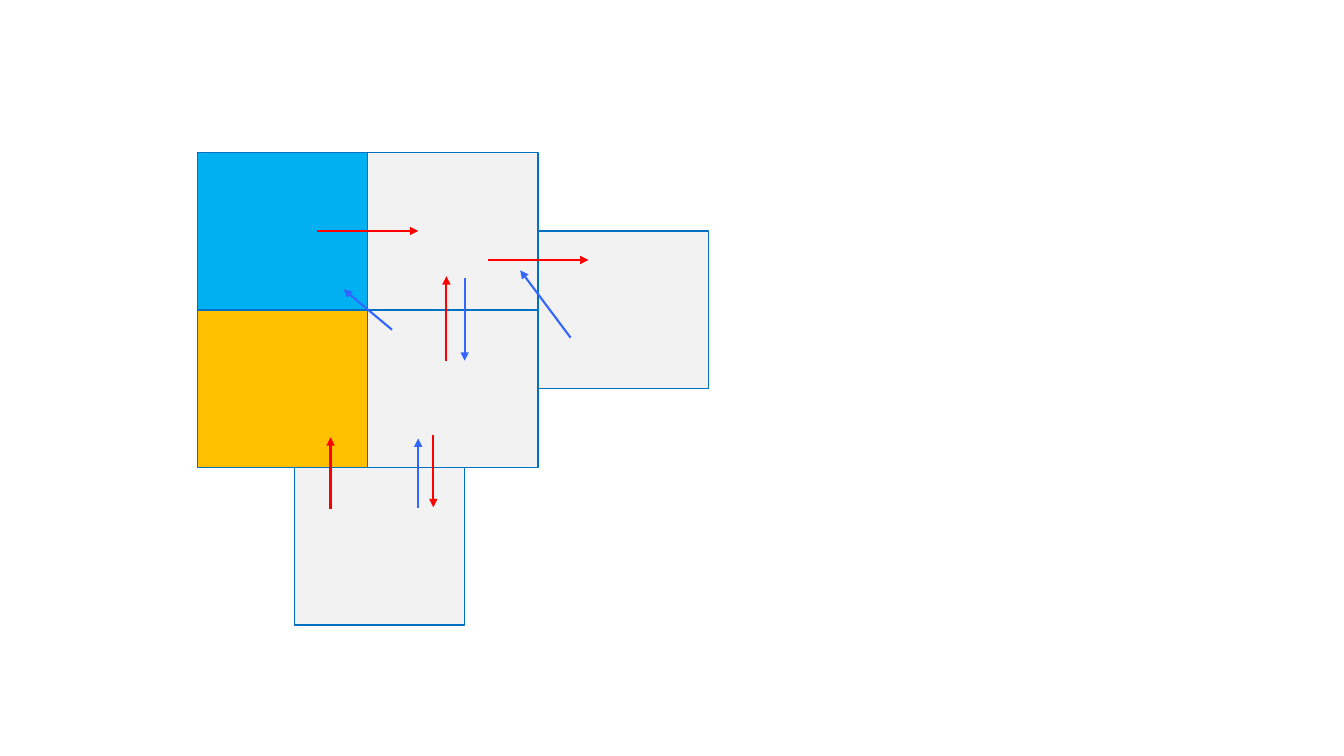
from pptx import Presentation
from pptx.dml.color import RGBColor as RGB
from pptx.enum.shapes import MSO_CONNECTOR as LINK, MSO_SHAPE as SHAPE
from pptx.oxml.ns import qn
from pptx.util import Cm, Pt
from lxml.etree import SubElement as sub

SKY = RGB(0x00, 0xB0, 0xF0)
GOLD = RGB(0xFF, 0xC0, 0x00)
GREY = RGB(0xF2, 0xF2, 0xF2)
EDGE = RGB(0x00, 0x70, 0xC0)
RED = RGB(0xFF, 0x00, 0x00)
BLUE = RGB(0x33, 0x66, 0xFF)

# Grid of equal rooms, in cm
LEFT, TOP = 4.98, 3.84
WIDTH, HEIGHT = 4.29, 3.97

# Rooms: column, row, fill
ROOMS = [
    (0, 0, SKY),
    (1, 0, GREY),
    (1, 1, GREY),
    (2, 0.5, GREY),
    (0, 1, GOLD),
    (0.57, 2, GREY),
]

# Arrows: start x, y, end x, y in cm
MOVES = {
    RED: [
        (8, 5.82, 10.54, 5.82),
        (12.29, 6.55, 14.83, 6.55),
        (11.25, 9.09, 11.25, 6.96),
        (10.92, 10.95, 10.92, 12.78),
        (8.33, 12.83, 8.33, 11.02),
    ],
    BLUE: [
        (14.38, 8.51, 13.11, 6.81),
        (11.71, 7.01, 11.71, 9.09),
        (9.88, 8.31, 8.66, 7.29),
        (10.54, 12.8, 10.54, 11.05),
    ],
}


def add_room(slide, col, row, fill):
    room = slide.shapes.add_shape(
        SHAPE.RECTANGLE, Cm(LEFT + col * WIDTH), Cm(TOP + row * HEIGHT),
        Cm(WIDTH), Cm(HEIGHT))
    room.shadow.inherit = False
    room.fill.solid()
    room.fill.fore_color.rgb = fill
    room.line.color.rgb = EDGE
    room.line.width = Pt(1)


def add_arrow(slide, ends, color):
    arrow = slide.shapes.add_connector(LINK.STRAIGHT, *map(Cm, ends))
    arrow.line.color.rgb = color
    arrow.line.width = Pt(1.5)
    # Arrowhead, and no shadow
    sub(arrow.line._get_or_add_ln(), qn("a:tailEnd"), type="triangle")
    sub(arrow._element.spPr, qn("a:effectLst"))


def main():
    deck = Presentation()
    deck.slide_width, deck.slide_height = Cm(33.87), Cm(19.05)
    slide = deck.slides.add_slide(deck.slide_layouts[6])

    # Floor plan
    for room in ROOMS:
        add_room(slide, *room)

    # Moves between rooms
    for color, moves in MOVES.items():
        for ends in moves:
            add_arrow(slide, ends, color)

    deck.save("out.pptx")


if __name__ == "__main__":
    main()
